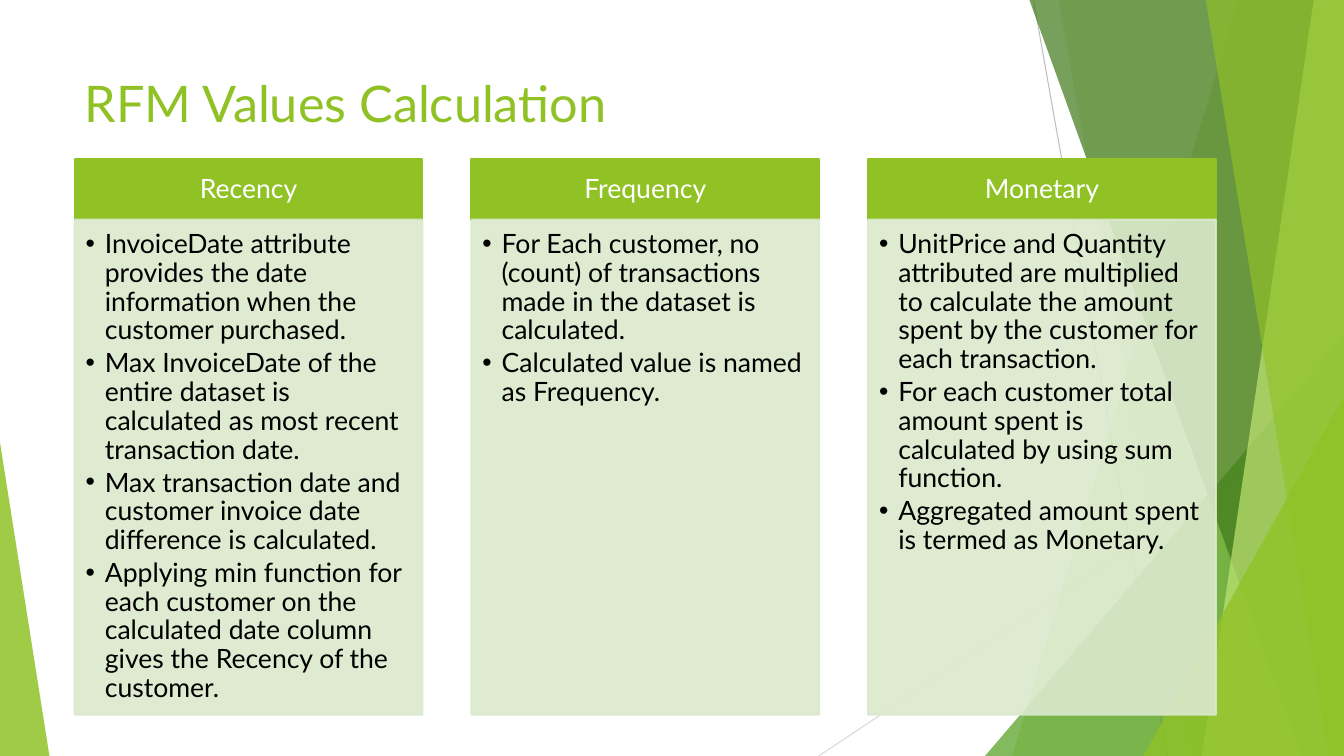
from pptx import Presentation
from pptx.dml.color import RGBColor
from pptx.enum.shapes import MSO_CONNECTOR, MSO_SHAPE
from pptx.enum.text import MSO_ANCHOR, PP_ALIGN
from pptx.oxml.ns import qn
from pptx.util import Inches, Pt
from lxml.etree import SubElement

WIDTH, HEIGHT = 13.33, 7.5
COLOURS = {
    "lime": "90C226", "grass": "54A021", "forest": "3F7819", "pale": "C0E474",
    "panel": "DBE9CD", "white": "FFFFFF", "black": "000000",
    "rule": "BFBFBF", "light rule": "D9D9D9",
}

# Heading and bullets of each column
COLUMNS = [
    ("Recency", [
        "InvoiceDate attribute provides the date information when the customer purchased.",
        "Max InvoiceDate of the entire dataset is calculated as most recent transaction date.",
        "Max transaction date and customer invoice date difference is calculated.",
        "Applying min function for each customer on the calculated date column gives "
        "the Recency of the customer.",
    ]),
    ("Frequency", [
        "For Each customer, no (count) of transactions made in the dataset is calculated.",
        "Calculated value is named as Frequency.",
    ]),
    ("Monetary", [
        "UnitPrice and Quantity attributed are multiplied to calculate the amount spent "
        "by the customer for each transaction.",
        "For each customer total amount spent is calculated by using sum function.",
        "Aggregated amount spent is termed as Monetary.",
    ]),
]


class SlideBuilder:
    font = "Lato"
    text_size = 19
    title_size = 36

    def __init__(self, page):
        self.page = page
        self.shapes = page.shapes

    def colour(self, name):
        return RGBColor.from_string(COLOURS[name])

    def paint(self, shape, fill, opacity=100, line_width=0):
        shape.shadow.inherit = False
        shape.fill.solid()
        shape.fill.fore_color.rgb = self.colour(fill)
        if line_width:
            shape.line.width = Pt(line_width)
            shape.line.color.rgb = self.colour(fill)
        else:
            shape.line.fill.background()
        if opacity < 100:
            for tint in shape._element.spPr.iter(qn("a:srgbClr")):
                SubElement(tint, qn("a:alpha")).set("val", str(opacity * 1000))

    def line(self, start, end, colour):
        points = [Inches(value) for value in (*start, *end)]
        connector = self.shapes.add_connector(MSO_CONNECTOR.STRAIGHT, *points)
        connector.line.width = Pt(0.75)
        connector.line.color.rgb = self.colour(colour)
        SubElement(connector._element.spPr, qn("a:effectLst"))

    def ribbon(self, top_left, bottom_left, fill, opacity):
        """Slanted band that reaches the right edge of the slide."""
        corners = [(WIDTH, 0), (WIDTH, HEIGHT), (bottom_left, HEIGHT)]
        builder = self.shapes.build_freeform(Inches(top_left), 0)
        builder.add_line_segments([(Inches(x), Inches(y)) for x, y in corners], close=True)
        self.paint(builder.convert_to_shape(), fill, opacity)

    def triangle(self, left, top, width, apex, fill, opacity):
        """Triangle standing on the bottom edge of the slide."""
        shape = self.shapes.add_shape(
            MSO_SHAPE.ISOSCELES_TRIANGLE, Inches(left), Inches(top),
            Inches(width), Inches(HEIGHT - top))
        shape.adjustments[0] = apex
        self.paint(shape, fill, opacity)

    def span(self, para, text, size, colour):
        span = para.add_run()
        span.text = text
        span.font.name = self.font
        span.font.size = Pt(size)
        span.font.color.rgb = self.colour(colour)

    def title(self, text, left, top, width, height):
        box = self.shapes.title
        box.left, box.top = Inches(left), Inches(top)
        box.width, box.height = Inches(width), Inches(height)
        box.text_frame.word_wrap = True
        box.text_frame.vertical_anchor = MSO_ANCHOR.TOP
        para = box.text_frame.paragraphs[0]
        para.alignment = PP_ALIGN.LEFT
        self.span(para, text, self.title_size, "lime")
        self.shapes._spTree.append(box._element)  # in front of the backdrop

    def block(self, left, top, width, height, fill, opacity, insets):
        box = self.shapes.add_shape(
            MSO_SHAPE.RECTANGLE, Inches(left), Inches(top), Inches(width), Inches(height))
        self.paint(box, fill, opacity, line_width=1.5)
        frame = box.text_frame
        frame.word_wrap = True
        frame.margin_left, frame.margin_top, frame.margin_right, frame.margin_bottom = (
            Inches(inset) for inset in insets)
        return frame

    def heading(self, text, left, top, width, height):
        frame = self.block(left, top, width, height, "lime", 100, (0.15, 0.08, 0.15, 0.08))
        frame.vertical_anchor = MSO_ANCHOR.MIDDLE
        para = frame.paragraphs[0]
        para.alignment = PP_ALIGN.CENTER
        para.line_spacing = 0.9
        self.span(para, text, self.text_size, "white")

    def bullets(self, items, left, top, width, height):
        frame = self.block(left, top, width, height, "panel", 90, (0.11, 0.11, 0.15, 0.17))
        frame.vertical_anchor = MSO_ANCHOR.TOP
        for index, item in enumerate(items):
            para = frame.add_paragraph() if index else frame.paragraphs[0]
            para.alignment = PP_ALIGN.LEFT
            para.line_spacing = 0.9
            para.space_after = Pt(3)
            properties = para._p.get_or_add_pPr()
            properties.set("marL", str(Inches(0.19)))
            properties.set("indent", str(-Inches(0.19)))
            SubElement(properties, qn("a:buFont")).set("typeface", "Arial")
            SubElement(properties, qn("a:buChar")).set("char", "•")
            self.span(para, item, self.text_size, "black")


def main():
    deck = Presentation()
    deck.slide_width, deck.slide_height = Inches(WIDTH), Inches(HEIGHT)
    slide = SlideBuilder(deck.slides.add_slide(deck.slide_layouts[5]))

    # Faceted green backdrop
    slide.line((10.25, 0), (11.58, HEIGHT), "rule")
    slide.line((WIDTH, 4.03), (8.12, HEIGHT), "light rule")
    slide.ribbon(12.28, 10.04, "lime", 30)
    slide.ribbon(10.5, 11.83, "lime", 20)
    slide.triangle(9.77, 3.33, 3.56, 1, "grass", 72)
    slide.ribbon(10.21, 12.91, "forest", 70)
    slide.ribbon(13.03, 11.92, "pale", 70)
    slide.ribbon(11.96, 13.18, "lime", 65)
    slide.triangle(11.34, 3.93, 1.99, 1, "lime", 80)
    slide.triangle(0, 4.39, 0.49, 0, "lime", 85)

    # Title
    slide.title("RFM Values Calculation", 0.74, 0.67, 9.4, 1.44)

    # Three columns: heading above its bullets
    left, top, width, pitch = 0.74, 1.58, 3.45, 3.935
    heading_height, body_height = 0.6, 4.91
    for index, (name, items) in enumerate(COLUMNS):
        x = left + index * pitch
        slide.heading(name, x, top, width, heading_height)
        slide.bullets(items, x, top + heading_height, width, body_height)

    deck.save("out.pptx")


if __name__ == "__main__":
    main()
